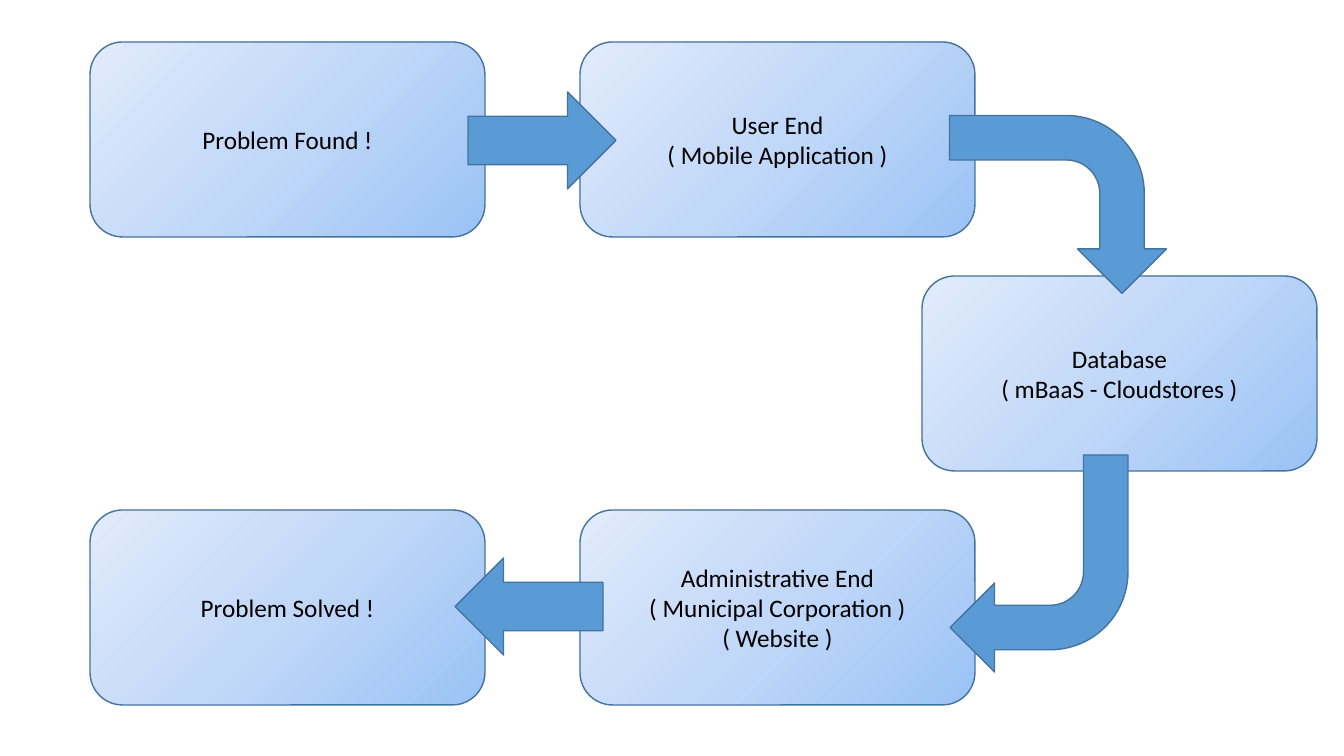
from pptx import Presentation
from pptx.dml.color import RGBColor
from pptx.enum.shapes import MSO_SHAPE
from pptx.enum.text import MSO_ANCHOR, PP_ALIGN
from pptx.oxml import parse_xml
from pptx.oxml.ns import nsdecls, qn
from pptx.util import Pt

ROUNDED = MSO_SHAPE.ROUNDED_RECTANGLE
STRAIGHT = MSO_SHAPE.RIGHT_ARROW
BENT = MSO_SHAPE.BENT_ARROW
CENTER = PP_ALIGN.CENTER
MIDDLE = MSO_ANCHOR.MIDDLE

# Content: column, row, text (\v is a line break, \n a new paragraph)
STEPS = [
    ("middle", 0, "User End\v( Mobile Application )"),
    ("right", 1, "Database\n( mBaaS - Cloudstores )"),
    ("middle", 2, "Administrative End\n( Municipal Corporation )\n( Website )"),
    ("left", 2, "Problem Solved !"),
    ("left", 0, "Problem Found !"),
]
# Arrows: kind, left, top, rotation
ARROWS = [
    (STRAIGHT, 468, 92, 0),
    (STRAIGHT, 455, 558, 180),
    (BENT, 969, 96, 90),
    (BENT, 950, 455, 180),
]
GRADIENT = [(0, "9AC3F5"), (50, "C2D8F8"), (100, "E1EBFB")]
LINE, ARROW_FILL, TEXT = "43739E", "5B9BD5", "000000"

# Layout in px
SLIDE_SIZE = (1344, 756)
COLUMNS = {"left": 90, "middle": 580, "right": 922}
FIRST_ROW, ROW_STEP = 42, 234
BOX_SIZE = (395, 195)
ARROW_SIZES = {STRAIGHT: (148, 97), BENT: (178, 217)}


def px(length):
    return round(length * 12192000 / SLIDE_SIZE[0])


def color(value):
    return RGBColor.from_string(value)


def add_outlined(slide, kind, left, top, size):
    shape = slide.shapes.add_shape(kind, px(left), px(top), *map(px, size))
    shape.shadow.inherit = False
    shape.line.color.rgb = color(LINE)
    shape.line.width = Pt(1)
    return shape


def fill_from_corner(shape):
    """Radial gradient that starts in the bottom right corner."""
    stops = "".join(
        f'<a:gs pos="{position * 1000}"><a:srgbClr val="{value}"/></a:gs>'
        for position, value in GRADIENT)
    gradient = parse_xml(
        f'<a:gradFill {nsdecls("a")} rotWithShape="1"><a:gsLst>{stops}</a:gsLst>'
        '<a:path path="circle"><a:fillToRect l="100000" t="100000"/></a:path>'
        '<a:tileRect r="-100000" b="-100000"/></a:gradFill>')
    shape._element.spPr.find(qn("a:prstGeom")).addnext(gradient)


def add_step(slide, column, row, text):
    shape = add_outlined(slide, ROUNDED, COLUMNS[column],
                         FIRST_ROW + row * ROW_STEP, BOX_SIZE)
    fill_from_corner(shape)
    frame = shape.text_frame
    frame.text = text
    frame.word_wrap = True
    frame.vertical_anchor = MIDDLE
    for paragraph in frame.paragraphs:
        paragraph.alignment = CENTER
        paragraph.font.name = "Calibri"
        paragraph.font.size = Pt(18)
        paragraph.font.color.rgb = color(TEXT)


def add_arrow(slide, kind, left, top, rotation):
    shape = add_outlined(slide, kind, left, top, ARROW_SIZES[kind])
    shape.rotation = rotation
    shape.fill.solid()
    shape.fill.fore_color.rgb = color(ARROW_FILL)


def main():
    presentation = Presentation()
    presentation.slide_width, presentation.slide_height = map(px, SLIDE_SIZE)
    slide = presentation.slides.add_slide(presentation.slide_layouts[6])

    # Process steps, then the arrows on top
    for step in STEPS:
        add_step(slide, *step)
    for arrow in ARROWS:
        add_arrow(slide, *arrow)

    presentation.save("out.pptx")


if __name__ == "__main__":
    main()
